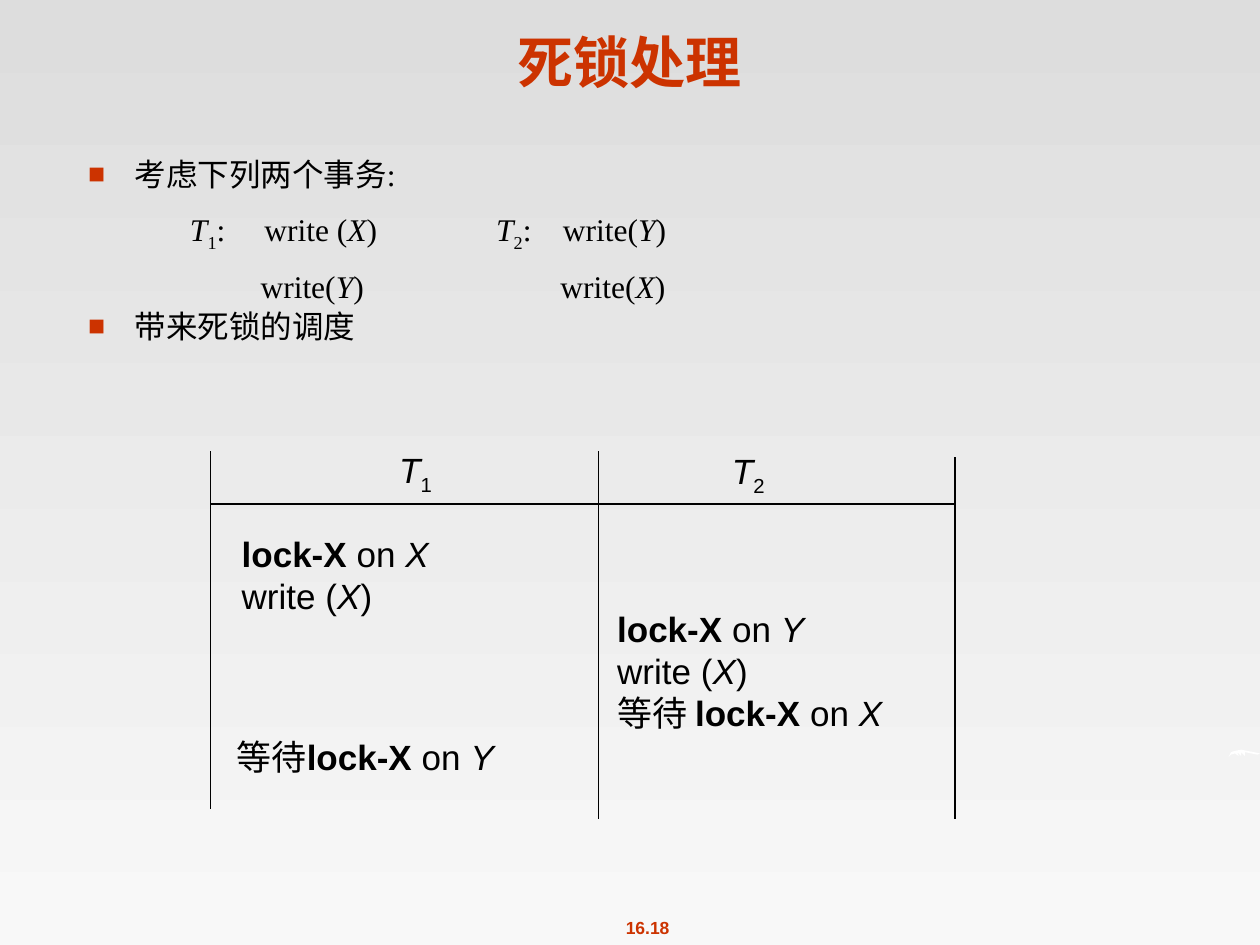
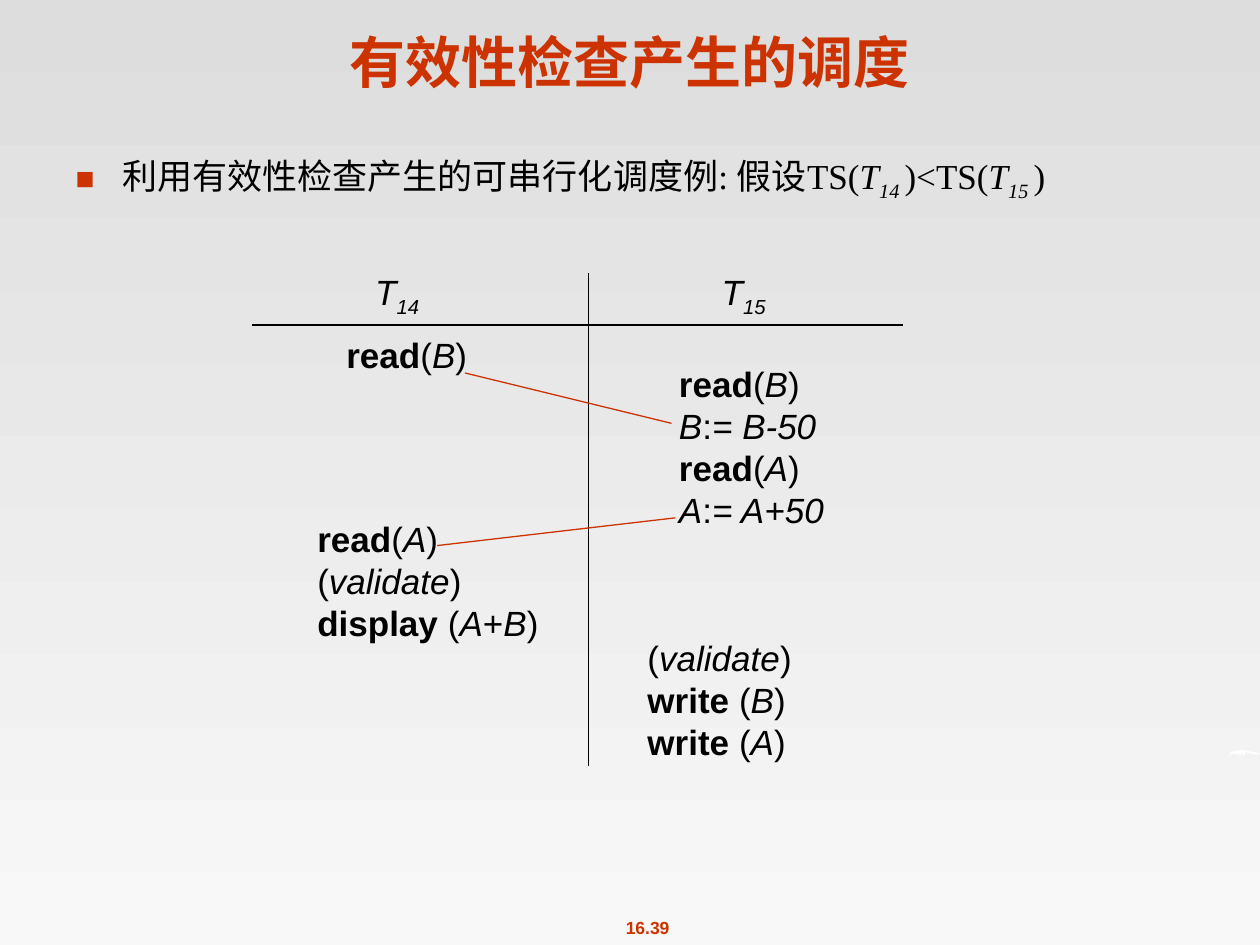
import pptx
import pptx.util
import pptx.dml.color
import pptx.enum.shapes
import pptx.enum.text
import pptx.oxml.ns
from lxml import etree

WIDTH, HEIGHT = 10, 7.5
ACCENT, INK, WHITE = "CC3300", "000000", "FFFFFF"
BACKGROUND = ("DDDDDD", "F8F8F8")
SANS, SERIF = "Arial", "Times New Roman"
HANG = 0.37
STEP_SLACK = 0.25
MARKS = {"*": "bold", "/": "italic", "~": "subscript"}
CORNER_STROKE = [
    (9.75, 6.01), (9.77, 5.97), (9.8, 5.96), (9.85, 5.95), (9.9, 5.96), (9.95, 5.97),
    (10, 5.98), (9.98, 5.99), (9.93, 5.98), (9.88, 5.97), (9.88, 6), (9.85, 5.97),
    (9.85, 6), (9.82, 5.97), (9.83, 6), (9.8, 5.98), (9.77, 5.99),
]

SLIDES = [
    {
        "title": "死锁处理",
        "number": "16.18",
        "body": {"box": (0.6, 1.18, 8.92, 5.36), "size": 18},
        "items": [("考虑下列两个事务:", 0), ("带来死锁的调度", 65.4)],
        "transactions": [
            ((1.41, 1.62, 0.5, 0.39), ["/T/~1~:"]),
            ((2, 1.62, 1.2, 0.39), ["write (/X/)"]),
            ((3.84, 1.62, 0.5, 0.39), ["/T/~2~:"]),
            ((4.37, 1.62, 1.2, 0.39), ["write(/Y/)"]),
            ((1.97, 2.07, 1.2, 0.39), ["write(/Y/)"]),
            ((4.35, 2.07, 1.2, 0.39), ["write(/X/)"]),
        ],
        "rules": [
            (1.67, 4, 7.58, 4),
            (1.67, 3.58, 1.67, 6.42),
            (4.75, 3.58, 4.75, 6.5),
            (7.58, 3.63, 7.58, 6.5),
        ],
        "conflicts": [],
        "steps": [
            ((3.07, 3.51, 0.46, 0.48), ["/T/~1~"]),
            ((5.71, 3.52, 0.46, 0.48), ["/T/~2~"]),
            ((1.82, 4.18, 1.68, 0.77), ["*lock-X* on /X/", "write (/X/)"]),
            ((4.8, 4.77, 2.38, 1.1),
             ["*lock-X* on /Y/", "write (/X/)", "等待 *lock-X* on /X/"]),
            ((1.78, 5.79, 2.31, 0.44), ["等待*lock-X* on /Y/"]),
        ],
    },
    {
        "title": "有效性检查产生的调度",
        "number": "16.39",
        "body": {"box": (0.5, 1.18, 8.99, 5.33), "size": 20},
        "items": [("利用有效性检查产生的可串行化调度例: 假设TS(/T~14 ~/)<TS(/T~15 ~/)", 0)],
        "transactions": [],
        "rules": [(2, 2.58, 7.17, 2.58), (4.67, 2.17, 4.67, 6.08)],
        "conflicts": [(3.69, 2.96, 5.33, 3.36), (3.47, 4.33, 5.36, 4.11)],
        "steps": [
            ((2.88, 2.1, 0.55, 0.48), ["/T~14~/"]),
            ((5.63, 2.1, 0.55, 0.48), ["/T~15~/"]),
            ((2.65, 2.6, 1.16, 0.44), ["*read*(/B/)"]),
            ((5.29, 2.83, 1.36, 1.44),
             ["*read*(/B/)", "/B/:/= B-50/", "*read*(/A/)", "/A/:/= A+50/"]),
            ((2.42, 4.06, 1.95, 1.1),
             ["*read*(/A/)", "(/validate/)", "*display* (/A/+/B/)"]),
            ((5.04, 5, 1.34, 1.1), ["(/validate/)", "*write* (/B/)", "*write* (/A/)"]),
        ],
    },
]


def inches(values):
    return [pptx.util.Inches(value) for value in values]


def color(value):
    return pptx.dml.color.RGBColor.from_string(value)


def add_element(parent, tag, **attributes):
    element = etree.SubElement(parent, pptx.oxml.ns.qn(tag))
    for name, value in attributes.items():
        element.set(name, str(value))
    return element


def place(shape, box):
    shape.left, shape.top, shape.width, shape.height = inches(box)


def split_marks(text):
    state = dict.fromkeys(MARKS.values(), False)
    piece = ""
    for character in text:
        if character in MARKS:
            if piece:
                yield piece, dict(state)
            piece = ""
            state[MARKS[character]] = not state[MARKS[character]]
        else:
            piece += character
    if piece:
        yield piece, dict(state)


def write_text(paragraph, text, size=20, font=SANS, fill=INK, bold=False, align="LEFT", space=0):
    paragraph.alignment = getattr(pptx.enum.text.PP_ALIGN, align)
    paragraph.space_before = pptx.util.Pt(space)
    for piece, state in split_marks(text):
        run = paragraph.add_run()
        run.text = piece
        run.font.size = pptx.util.Pt(size)
        run.font.name = font
        run.font.bold = bold or state["bold"]
        run.font.italic = state["italic"]
        run.font.color.rgb = color(fill)
        if state["subscript"]:
            run.font._element.set("baseline", "-25000")


def paragraphs_for(frame, texts):
    for index, text in enumerate(texts):
        yield (frame.add_paragraph() if index else frame.paragraphs[0]), text


def format_bullet(paragraph):
    properties = paragraph._p.get_or_add_pPr()
    hang = pptx.util.Inches(HANG)
    properties.set("marL", str(hang))
    properties.set("indent", str(-hang))
    add_element(add_element(properties, "a:buClr"), "a:srgbClr", val=ACCENT)
    add_element(properties, "a:buSzPct", val=90000)
    add_element(properties, "a:buChar", char="■")


def add_text_box(slide, box, texts, slack=0, **text_format):
    left, top, width, height = box
    text_box = slide.shapes.add_textbox(*inches((left, top, width + slack, height)))
    frame = text_box.text_frame
    frame.word_wrap = True
    frame.auto_size = pptx.enum.text.MSO_AUTO_SIZE.NONE
    for paragraph, text in paragraphs_for(frame, texts):
        write_text(paragraph, text, **text_format)


def add_line(slide, ends, fill):
    line = slide.shapes.add_connector(
        pptx.enum.shapes.MSO_CONNECTOR.STRAIGHT, *inches(ends))
    line.line.color.rgb = color(fill)
    line.line.width = pptx.util.Pt(0.75)
    add_element(line._element.spPr, "a:effectLst")


def add_corner_stroke(slide):
    start, *rest = [inches(point) for point in CORNER_STROKE]
    builder = slide.shapes.build_freeform(*start)
    builder.add_line_segments(rest, close=True)
    stroke = builder.convert_to_shape()
    stroke.shadow.inherit = False
    stroke.fill.solid()
    stroke.fill.fore_color.rgb = color(WHITE)
    stroke.line.fill.background()


def set_background(master):
    fill = master.background.fill
    fill.gradient()
    fill.gradient_angle = 270
    for stop, position, value in zip(fill.gradient_stops, (0, 1), BACKGROUND):
        stop.position = position
        stop.color.rgb = color(value)


def fill_title(title, text):
    place(title, (0, 0, WIDTH, 0.8))
    frame = title.text_frame
    frame.auto_size = pptx.enum.text.MSO_AUTO_SIZE.NONE
    frame.vertical_anchor = pptx.enum.text.MSO_ANCHOR.BOTTOM
    write_text(frame.paragraphs[0], text, size=32, fill=ACCENT, bold=True, align="CENTER")


def fill_body(body, items, box, size):
    place(body, box)
    frame = body.text_frame
    frame.auto_size = pptx.enum.text.MSO_AUTO_SIZE.NONE
    for paragraph, (text, space) in paragraphs_for(frame, items):
        format_bullet(paragraph)
        write_text(paragraph, text, size=size, font=SERIF, space=space)


def build_slide(presentation, content):
    slide = presentation.slides.add_slide(presentation.slide_layouts[1])
    add_corner_stroke(slide)
    add_text_box(slide, (4.61, 7.23, 1.06, 0.27), [content["number"]],
                 size=10, fill=ACCENT, bold=True, align="CENTER")
    fill_title(slide.shapes.title, content["title"])
    fill_body(slide.placeholders[1], content["items"], **content["body"])
    for box, texts in content["transactions"]:
        add_text_box(slide, box, texts, size=18, font=SERIF)
    for ends in content["rules"]:
        add_line(slide, ends, INK)
    for box, texts in content["steps"]:
        add_text_box(slide, box, texts, slack=STEP_SLACK)
    for ends in content["conflicts"]:
        add_line(slide, ends, ACCENT)


def main():
    presentation = pptx.Presentation()
    presentation.slide_width, presentation.slide_height = inches((WIDTH, HEIGHT))
    set_background(presentation.slide_master)
    for content in SLIDES:
        build_slide(presentation, content)
    presentation.save("out.pptx")


if __name__ == "__main__":
    main()
